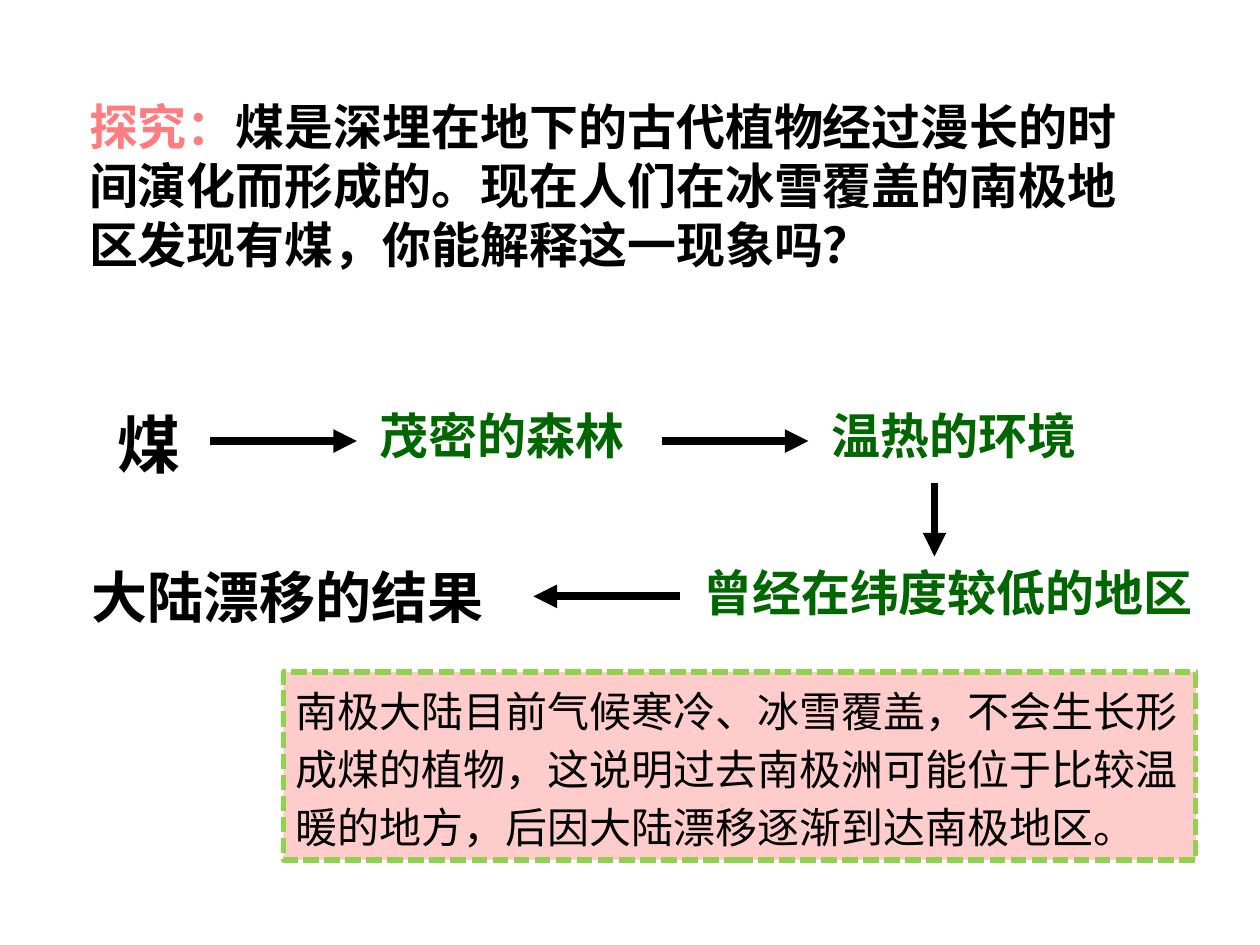
"""Build the slide that reasons from Antarctic coal to continental drift."""
from dataclasses import dataclass

from lxml import etree
from pptx import Presentation
from pptx import util as u
from pptx.dml.color import RGBColor
from pptx.enum import dml, shapes, text
from pptx.oxml import ns
from pptx.slide import Slide

BLACK = RGBColor(0x00, 0x00, 0x00)
GREEN = RGBColor(0x00, 0x66, 0x00)
CORAL = RGBColor(0xFF, 0x7C, 0x80)
PINK = RGBColor(0xFF, 0xCC, 0xCC)
LIME = RGBColor(0x92, 0xD0, 0x50)
FONT = "Times New Roman"
COLUMNS, ROWS = 120, 90
CELL = u.Inches(10) / COLUMNS


@dataclass(frozen=True)
class Span:
    wording: str
    color: RGBColor = BLACK


@dataclass(frozen=True)
class Label:
    column: float
    row: float
    columns: float
    rows: float
    spans: tuple[Span, ...]
    size: int = 28
    bold: bool = True
    spacing: float = 1.0
    boxed: bool = False


@dataclass(frozen=True)
class Arrow:
    column: float
    row: float
    across: float = 0
    down: float = 0


LABELS = (
    Label(7.3, 8.6, 104, 18, (
        Span("探究：", CORAL),
        Span("煤是深埋在地下的古代植物经过漫长的时间演化而形成的。"
             "现在人们在冰雪覆盖的南极地区发现有煤，你能解释这一现象吗？"))),
    Label(10, 38, 11, 8.4, (Span("煤"),), size=36),
    Label(35, 38, 31, 6.8, (Span("茂密的森林", GREEN),)),
    Label(78, 38, 30, 6.8, (Span("温热的环境", GREEN),)),
    Label(65.8, 53, 54, 6.8, (Span("曾经在纬度较低的地区", GREEN),)),
    Label(7.5, 53, 42, 7.6, (Span("大陆漂移的结果"),), size=32),
    Label(27, 64, 86.9, 17.9, (
        Span("南极大陆目前气候寒冷、冰雪覆盖，不会生长形成煤的植物，"
             "这说明过去南极洲可能位于比较温暖的地方，"
             "后因大陆漂移逐渐到达南极地区。"),),
          size=24, bold=False, spacing=1.15, boxed=True),
)
ARROWS = (
    Arrow(20, 42, across=14),
    Arrow(63, 42, across=14),
    Arrow(89, 46, down=7),
    Arrow(64.8, 56.8, across=-14),
)


def cells(*counts: float) -> list[u.Emu]:
    """Turn counts of grid cells into lengths."""
    return [u.Emu(round(count * CELL)) for count in counts]


def apply(target: object, values: dict[str, object]) -> None:
    """Set each named attribute of the target."""
    for name, value in values.items():
        setattr(target, name, value)


def draw_label(page: Slide, label: Label) -> None:
    """Draw a label, with a dashed panel behind it when boxed."""
    place = cells(label.column, label.row, label.columns, label.rows)
    if label.boxed:
        box = page.shapes.add_shape(shapes.MSO_SHAPE.RECTANGLE, *place)
        box.shadow.inherit = False
        box.fill.solid()
        box.fill.fore_color.rgb = PINK
        box.line.color.rgb = LIME
        apply(box.line, {"width": u.Pt(3),
                         "dash_style": dml.MSO_LINE.SQUARE_DOT})
    else:
        box = page.shapes.add_textbox(*place)
    apply(box.text_frame, {
        "word_wrap": True,
        "auto_size": text.MSO_AUTO_SIZE.SHAPE_TO_FIT_TEXT,
        "vertical_anchor": text.MSO_ANCHOR.TOP,
    })
    para = box.text_frame.paragraphs[0]
    apply(para, {"alignment": text.PP_ALIGN.LEFT,
                 "line_spacing": label.spacing})
    for span in label.spans:
        run = para.add_run()
        run.text = span.wording
        apply(run.font, {"name": FONT, "size": u.Pt(label.size),
                         "bold": label.bold})
        run.font.color.rgb = span.color


def draw_arrow(page: Slide, arrow: Arrow) -> None:
    """Draw a thick straight arrow without a shadow."""
    line = page.shapes.add_connector(
        shapes.MSO_CONNECTOR.STRAIGHT,
        *cells(arrow.column, arrow.row,
               arrow.column + arrow.across, arrow.row + arrow.down))
    line.line.color.rgb = BLACK
    line.line.width = u.Pt(4.5)
    etree.SubElement(line.line._get_or_add_ln(), ns.qn("a:tailEnd"),
                     type="triangle")
    etree.SubElement(line._element.spPr, ns.qn("a:effectLst"))


def main() -> None:
    """Build and save the deck."""
    deck = Presentation()
    apply(deck, {"slide_width": u.Emu(round(COLUMNS * CELL)),
                 "slide_height": u.Emu(round(ROWS * CELL))})
    page = deck.slides.add_slide(deck.slide_layouts.get_by_name("Blank"))
    for label in LABELS:
        draw_label(page, label)
    for arrow in ARROWS:
        draw_arrow(page, arrow)
    deck.save("out.pptx")


if __name__ == "__main__":
    main()
